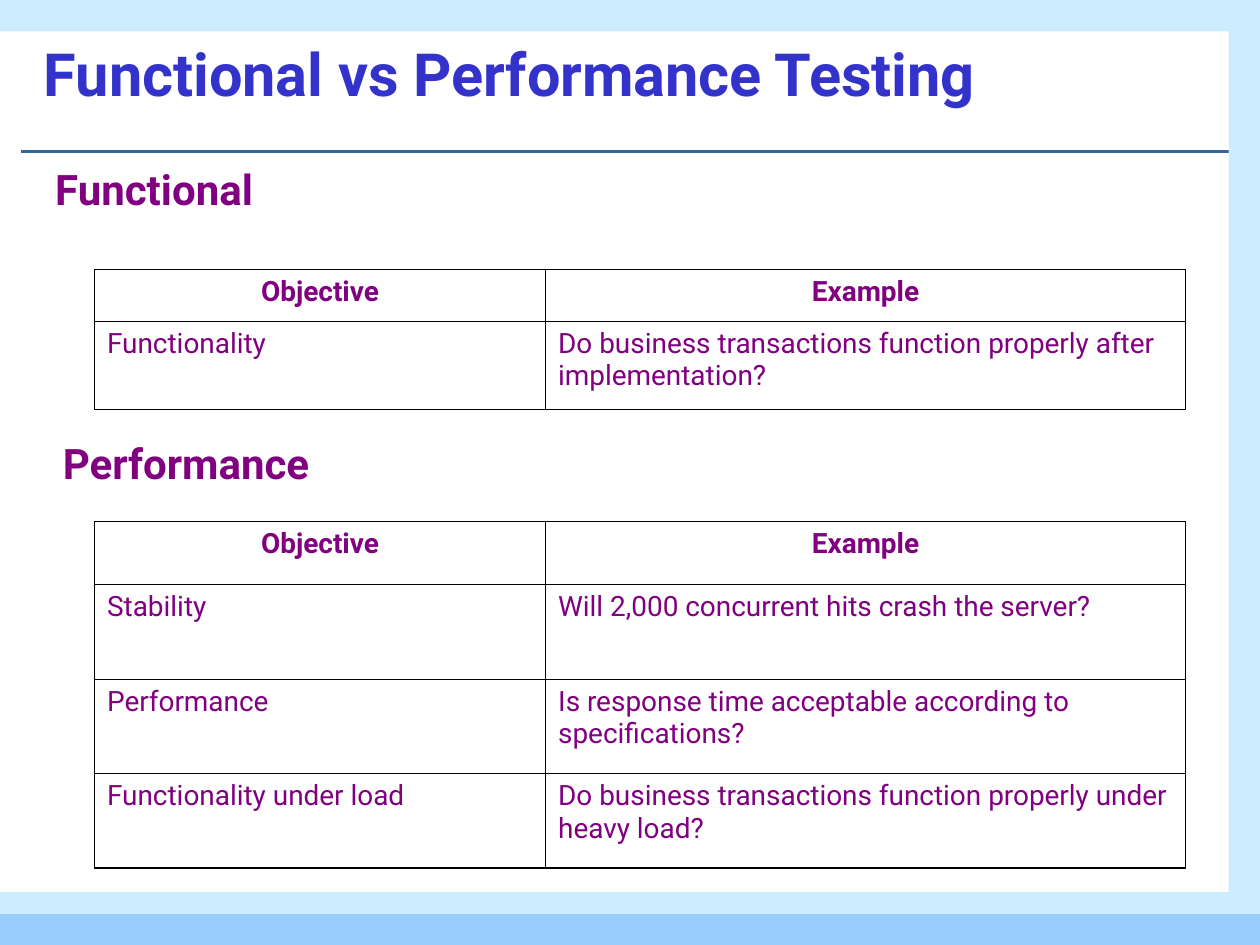
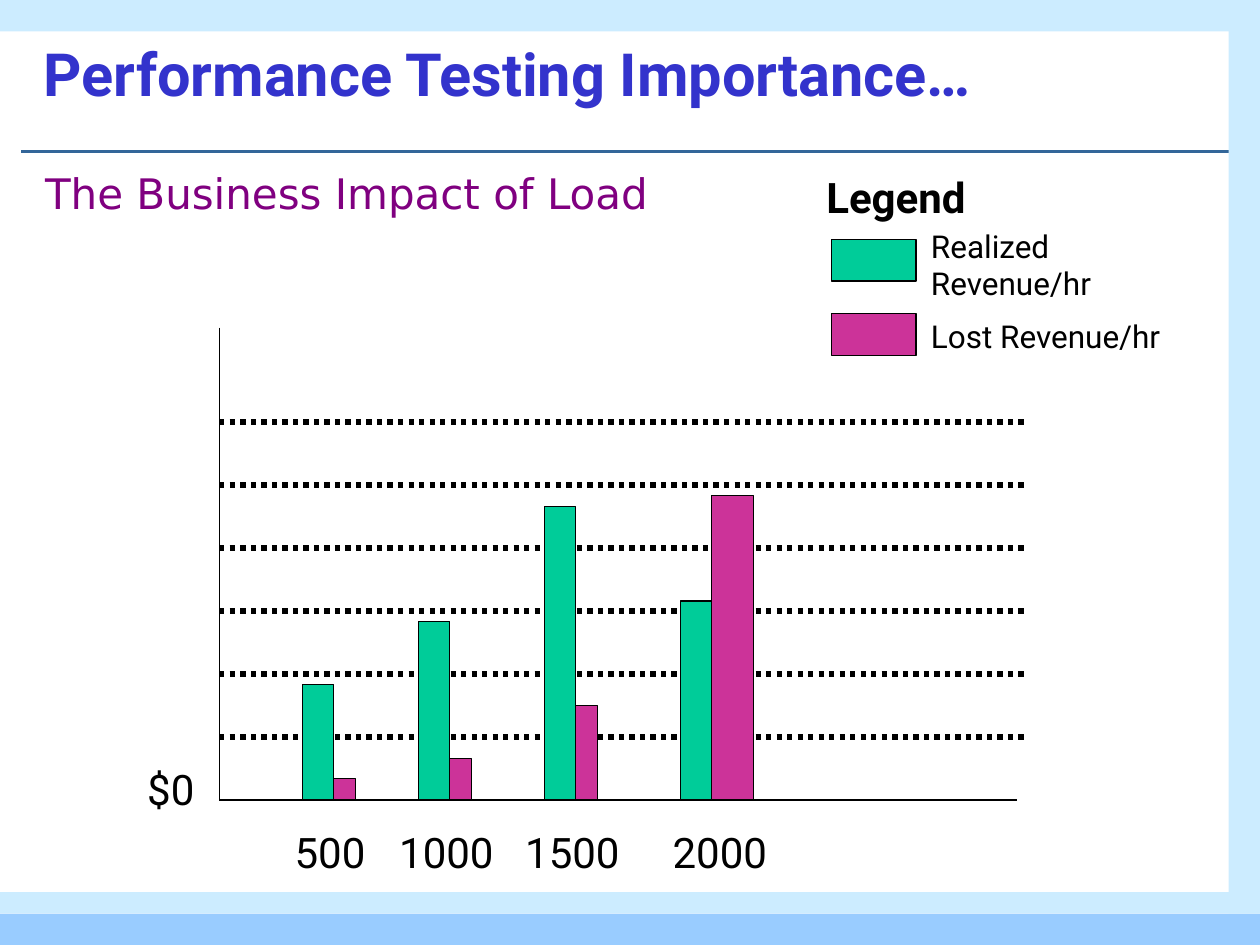
"""Build two slides on functional and performance testing."""
from dataclasses import dataclass

from lxml import etree
from pptx import Presentation
from pptx.dml.color import RGBColor
from pptx.enum.dml import MSO_LINE
from pptx.enum.shapes import MSO_CONNECTOR, MSO_SHAPE
from pptx.enum.text import MSO_ANCHOR, PP_ALIGN
from pptx.oxml.ns import qn
from pptx.slide import Slide
from pptx.table import _Cell as Cell
from pptx.util import Inches, Pt

COLORS = {
    "title": "3333CC",
    "text": "800080",
    "rule": "336699",
    "band": "CCECFF",
    "footer": "99CCFF",
    "realized": "00CC99",
    "lost": "CC3399",
    "ink": "000000",
}
FONT = "Roboto"
OUTER, INNER = 1.08, 0.45
AXIS_X, AXIS_Y = 1.74, 6.35
GRID_STEP, GRID_COUNT = 0.5, 6
REALIZED_WIDTH = 0.25


@dataclass
class Box:
    """A rectangle measured in inches."""
    x: float
    y: float
    w: float
    h: float


@dataclass
class Style:
    """The look of one text."""
    size: float = 24
    color: str = "ink"
    bold: bool = False
    font: str = FONT


@dataclass
class Load:
    """A pair of bars for one number of users."""
    label: str
    label_x: float
    x: float
    realized: float
    lost: float
    lost_width: float = 0.17


@dataclass
class Grid:
    """A table with its row heights."""
    top: float
    heights: list[float]
    rows: list[tuple[str, str]]


HEADING = Style(color="text", bold=True)
HEADER_ROW = ("Objective", "Example")
COL_WIDTHS = [3.58, 5.08]

BANDS = [
    (Box(0, 7.25, 10, 0.25), "footer"),
    (Box(0, 7.08, 10, 0.17), "band"),
    (Box(9.75, 0, 0.25, 7.25), "band"),
    (Box(0, 0, 10, 0.25), "band"),
]

FUNCTIONAL = Grid(2.14, [0.41, 0.7], [
    HEADER_ROW,
    ("Functionality",
     "Do business transactions function properly after implementation?"),
])
PERFORMANCE = Grid(4.14, [0.5, 0.75, 0.75, 0.75], [
    HEADER_ROW,
    ("Stability", "Will 2,000 concurrent hits crash the server?"),
    ("Performance",
     "Is response time acceptable according to specifications?"),
    ("Functionality under load",
     "Do business transactions function properly under heavy load?"),
])

LOADS = [
    Load("500", 2.24, 2.4, 0.92, 0.17),
    Load("1000", 3.07, 3.32, 1.42, 0.33),
    Load("1500", 4.07, 4.32, 2.33, 0.75),
    Load("2000", 5.24, 5.4, 1.58, 2.42, 0.33),
]


def rgb(name: str) -> RGBColor:
    return RGBColor.from_string(COLORS[name])


def set_font(p, style: Style) -> None:
    p.font.name = style.font
    p.font.size = Pt(style.size)
    p.font.bold = style.bold
    p.font.color.rgb = rgb(style.color)


def add_text(s: Slide, box: Box, text: str, style: Style,
             anchor: MSO_ANCHOR = MSO_ANCHOR.TOP) -> None:
    tb = s.shapes.add_textbox(*map(Inches, (box.x, box.y, box.w, box.h)))
    tf = tb.text_frame
    tf.word_wrap = True
    tf.vertical_anchor = anchor
    p = tf.paragraphs[0]
    p.text = text
    set_font(p, style)


def add_rect(s: Slide, box: Box, fill: str, outlined: bool = False) -> None:
    sp = s.shapes.add_shape(MSO_SHAPE.RECTANGLE,
                            *map(Inches, (box.x, box.y, box.w, box.h)))
    sp.shadow.inherit = False
    sp.fill.solid()
    sp.fill.fore_color.rgb = rgb(fill)
    if outlined:
        sp.line.color.rgb = rgb("ink")
        sp.line.width = Pt(0.75)
    else:
        sp.line.fill.background()


def add_line(s: Slide, x1: float, y1: float, x2: float, y2: float,
             color: str = "ink", width: float = 0.75,
             dotted: bool = False) -> None:
    cx = s.shapes.add_connector(MSO_CONNECTOR.STRAIGHT,
                                *map(Inches, (x1, y1, x2, y2)))
    cx.line.color.rgb = rgb(color)
    cx.line.width = Pt(width)
    if dotted:
        cx.line.dash_style = MSO_LINE.ROUND_DOT
    etree.SubElement(cx._element.spPr, qn("a:effectLst"))


def set_borders(cell: Cell, widths: dict[str, float]) -> None:
    tc_pr = cell._tc.get_or_add_tcPr()
    for side, width in widths.items():
        ln = etree.SubElement(tc_pr, qn(f"a:ln{side}"), w=str(Pt(width)))
        fill = etree.SubElement(ln, qn("a:solidFill"))
        etree.SubElement(fill, qn("a:srgbClr"), val=COLORS["ink"])


def add_grid(s: Slide, grid: Grid) -> None:
    n_rows, n_cols = len(grid.rows), len(COL_WIDTHS)
    table = s.shapes.add_table(
        n_rows, n_cols, Inches(0.75), Inches(grid.top),
        Inches(sum(COL_WIDTHS)), Inches(sum(grid.heights))).table
    table.first_row = table.horz_banding = False
    for col, width in zip(table.columns, COL_WIDTHS):
        col.width = Inches(width)
    for i, (height, texts) in enumerate(zip(grid.heights, grid.rows)):
        table.rows[i].height = Inches(height)
        for j, text in enumerate(texts):
            cell = table.cell(i, j)
            edges = {"L": j == 0, "R": j == n_cols - 1,
                     "T": i == 0, "B": i == n_rows - 1}
            set_borders(cell, {side: OUTER if outer else INNER
                               for side, outer in edges.items()})
            cell.fill.background()
            p = cell.text_frame.paragraphs[0]
            p.text = text
            p.alignment = PP_ALIGN.CENTER if i == 0 else PP_ALIGN.LEFT
            set_font(p, Style(16, "text", bold=i == 0))


def add_base(prs: Presentation, title: str) -> Slide:
    s = prs.slides.add_slide(prs.slide_layouts[6])
    add_line(s, 0.17, 1.2, 9.75, 1.2, "rule", 1.5)
    for box, color in BANDS:
        add_rect(s, box, color)
    add_text(s, Box(0.25, 0.08, 8.83, 1), title,
             Style(34, "title", bold=True), MSO_ANCHOR.MIDDLE)
    return s


def add_comparison(prs: Presentation) -> None:
    s = add_base(prs, "Functional vs Performance Testing")
    add_text(s, Box(0.34, 1.25, 2.64, 0.5), "Functional", HEADING)
    add_grid(s, FUNCTIONAL)
    add_text(s, Box(0.4, 3.42, 2.64, 0.5), "Performance", HEADING)
    add_grid(s, PERFORMANCE)


def add_impact(prs: Presentation) -> None:
    s = add_base(prs, "Performance Testing Importance…")
    add_text(s, Box(0.26, 1.28, 6, 0.5), "The Business Impact of Load",
             Style(color="text", font="DejaVu Sans"))

    add_line(s, AXIS_X, 2.6, AXIS_X, AXIS_Y)
    add_line(s, AXIS_X, AXIS_Y, 8.07, AXIS_Y)
    for i in range(1, GRID_COUNT + 1):
        y = AXIS_Y - i * GRID_STEP
        add_line(s, AXIS_X, y, 8.15, y, width=3, dotted=True)
    add_text(s, Box(1.07, 6.01, 0.63, 0.5), "$0", Style())

    for load in LOADS:
        add_rect(s, Box(load.x, AXIS_Y - load.realized, REALIZED_WIDTH,
                        load.realized), "realized", outlined=True)
        add_rect(s, Box(load.x + REALIZED_WIDTH, AXIS_Y - load.lost,
                        load.lost_width, load.lost), "lost", outlined=True)
        add_text(s, Box(load.label_x, 6.51, 1, 0.5), load.label, Style())

    add_text(s, Box(6.46, 1.31, 1.97, 0.5), "Legend", Style(bold=True))
    for color, swatch_y, text, text_y, height in [
        ("realized", 1.9, "Realized Revenue/hr", 1.75, 0.7),
        ("lost", 2.49, "Lost Revenue/hr", 2.47, 0.4),
    ]:
        add_rect(s, Box(6.6, swatch_y, 0.67, 0.33), color, outlined=True)
        add_text(s, Box(7.29, text_y, 2.17, height), text, Style(18))


def main() -> None:
    prs = Presentation()
    prs.slide_width, prs.slide_height = Inches(10), Inches(7.5)
    add_comparison(prs)
    add_impact(prs)
    prs.save("out.pptx")


if __name__ == "__main__":
    main()
